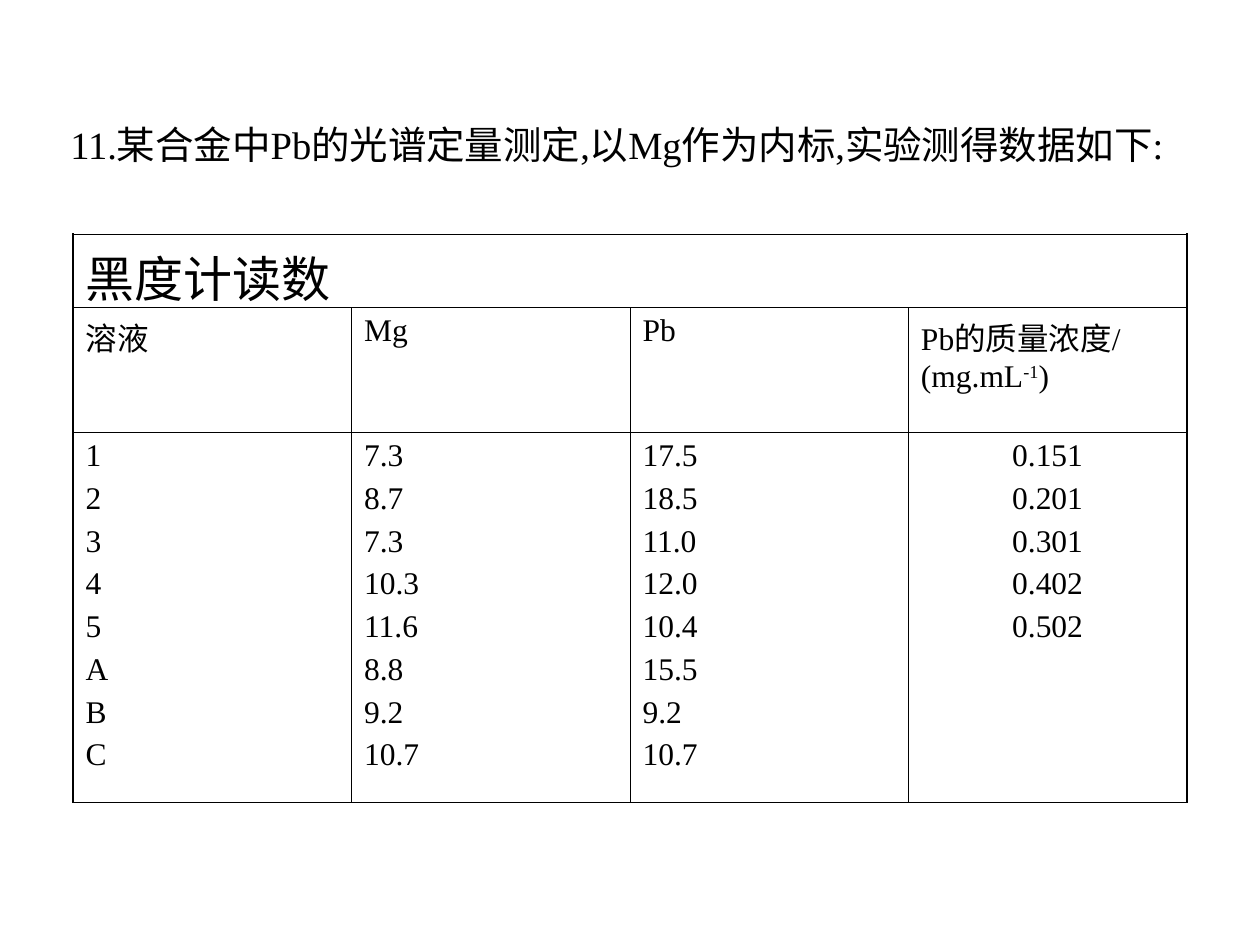
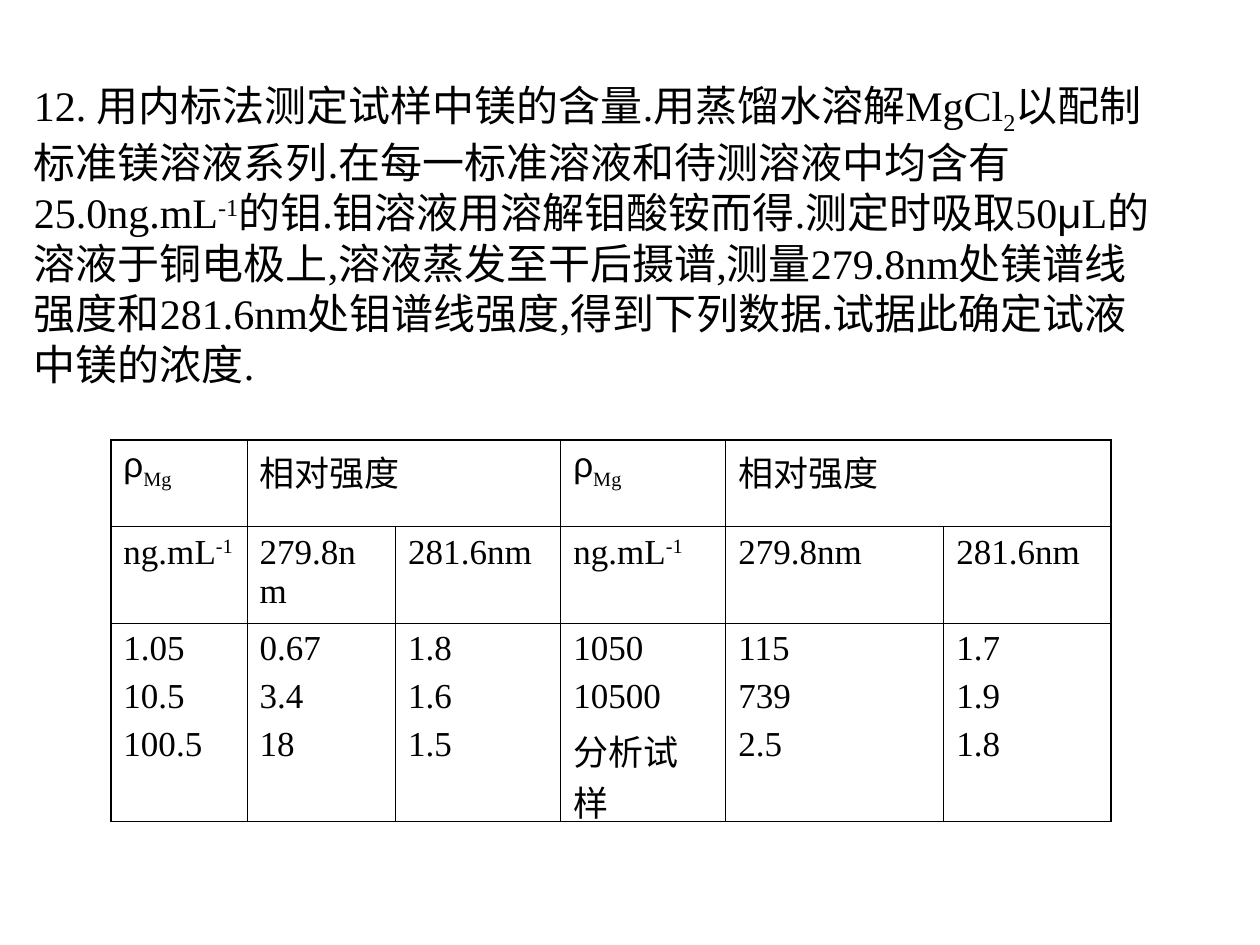
"""Builds two exercise slides, each a question above a ruled data table."""
from dataclasses import dataclass
from typing import Any, NamedTuple

from lxml.etree import SubElement
from pptx import Presentation
from pptx.dml.color import RGBColor
from pptx.enum.text import MSO_AUTO_SIZE as AutoSize, PP_ALIGN as Align
from pptx.oxml.ns import qn
from pptx.util import Pt

EMU_PER_PX = 9144
BLACK = RGBColor(0x00, 0x00, 0x00)
WHITE = RGBColor(0xFF, 0xFF, 0xFF)
SERIF, SANS = "Times New Roman", "Arial"
OUTER, INNER = Pt(1.08), Pt(0.45)
SUB, SUP = -25, 30
MARGINS = {"margin_left": 10, "margin_right": 10, "margin_top": 5, "margin_bottom": 5}


class Run(NamedTuple):
    text: str
    base: int = 0
    font: str = SERIF


class Box(NamedTuple):
    left: int
    top: int
    width: int
    height: int


class Span(NamedTuple):
    row: int
    first: int
    last: int


Content = str | list[Run]


@dataclass
class Question:
    box: Box
    size: int
    content: Content


@dataclass
class DataTable:
    left: int
    top: int
    cols: list[int]
    rows: list[int]
    cells: list[list[Content]]
    spans: list[Span]
    size: int
    gap: float
    title_size: int
    centred: tuple[int, int] | None = None


@dataclass
class Exercise:
    question: Question
    table: DataTable


def px(n: int) -> int:
    return n * EMU_PER_PX


def set_attrs(target: Any, values: dict[str, Any]) -> None:
    for name, value in values.items():
        setattr(target, name, value)


def write(tf: Any, content: Content, size: int, gap: float = 0, align: Align = Align.LEFT) -> None:
    lines = [[Run(t)] for t in content.split("\n")] if isinstance(content, str) else [content]
    for i, line in enumerate(lines):
        p = tf.add_paragraph() if i else tf.paragraphs[0]
        set_attrs(p, {"alignment": align, "space_before": Pt(gap if i else 0)})
        for run in line:
            r = p.add_run()
            r.text = run.text
            set_attrs(r.font, {"name": run.font, "size": Pt(size)})
            r.font.color.rgb = BLACK
            if run.base:
                r._r.get_or_add_rPr().set("baseline", str(run.base * 1000))


def add_question(s: Any, q: Question) -> None:
    tf = s.shapes.add_textbox(*map(px, q.box)).text_frame
    set_attrs(tf, {"word_wrap": True, "auto_size": AutoSize.SHAPE_TO_FIT_TEXT})
    set_attrs(tf, {name: px(n) for name, n in MARGINS.items()})
    write(tf, q.content, q.size)


def rule_cell(cell: Any, edges: dict[str, bool]) -> None:
    tcPr = cell._tc.get_or_add_tcPr()
    for side, is_outer in edges.items():
        ln = SubElement(tcPr, qn(f"a:ln{side}"), w=str(OUTER if is_outer else INNER))
        SubElement(SubElement(ln, qn("a:solidFill")), qn("a:srgbClr"), val=str(BLACK))
    cell.fill.background()


def add_data_table(s: Any, d: DataTable) -> None:
    n_rows, n_cols = len(d.rows), len(d.cols)
    frame = Box(d.left, d.top, sum(d.cols), sum(d.rows))
    table = s.shapes.add_table(n_rows, n_cols, *map(px, frame)).table
    set_attrs(table, {"first_row": False, "horz_banding": False})
    for col, width in zip(table.columns, d.cols):
        col.width = px(width)
    for row, height in zip(table.rows, d.rows):
        row.height = px(height)
    for span in d.spans:
        table.cell(span.row, span.first).merge(table.cell(span.row, span.last))
    for i in range(n_rows):
        contents = iter(d.cells[i])
        for j in range(n_cols):
            cell = table.cell(i, j)
            edges = {"T": i == 0, "B": i == n_rows - 1}
            if not cell.is_spanned:
                width = cell.span_width if cell.is_merge_origin else 1
                edges = {"L": j == 0, "R": j + width == n_cols} | edges
                set_attrs(cell, {name: px(n) for name, n in MARGINS.items()})
                align = Align.CENTER if (i, j) == d.centred else Align.LEFT
                size = d.size if i else d.title_size
                write(cell.text_frame, next(contents), size, d.gap, align)
            rule_cell(cell, edges)


RHO_MG = [Run("ρ", font=SANS), Run("Mg", SUB)]
NG_PER_ML = [Run("ng.mL"), Run("-1", SUP)]
WAVELENGTHS = ["279.8nm", "281.6nm"]

LEAD = Exercise(
    Question(Box(46, 91, 908, 84), 22,
             "11.某合金中Pb的光谱定量测定,以Mg作为内标,实验测得数据如下:"),
    DataTable(
        left=58, top=186, cols=[221] * 4, rows=[58, 99, 294],
        cells=[
            ["黑度计读数"],
            ["溶液", "Mg", "Pb",
             [Run("Pb的质量浓度/(mg.mL"), Run("-1", SUP), Run(")")]],
            ["1\n2\n3\n4\n5\nA\nB\nC",
             "7.3\n8.7\n7.3\n10.3\n11.6\n8.8\n9.2\n10.7",
             "17.5\n18.5\n11.0\n12.0\n10.4\n15.5\n9.2\n10.7",
             "0.151\n0.201\n0.301\n0.402\n0.502"],
        ],
        spans=[Span(0, 0, 3)], size=18, gap=4.5, title_size=28, centred=(2, 3)),
)

MAGNESIUM = Exercise(
    Question(Box(17, 58, 917, 256), 24, [
        Run("12. 用内标法测定试样中镁的含量.用蒸馏水溶解MgCl"), Run("2", SUB),
        Run("以配制标准镁溶液系列.在每一标准溶液和待测溶液中均含有25.0ng.mL"), Run("-1", SUP),
        Run("的钼.钼溶液用溶解钼酸铵而得.测定时吸取50"), Run("μ", font=SANS),
        Run("L的溶液于铜电极上,溶液蒸发至干后摄谱,测量279.8nm处镁谱线强度和"
            "281.6nm处钼谱线强度,得到下列数据.试据此确定试液中镁的浓度."),
    ]),
    DataTable(
        left=88, top=349, cols=[108, 118, 131, 131, 173, 133], rows=[69, 58, 148],
        cells=[
            [RHO_MG, "相对强度"] * 2,
            [NG_PER_ML, *WAVELENGTHS] * 2,
            ["1.05\n10.5\n100.5", "0.67\n3.4\n18", "1.8\n1.6\n1.5",
             "1050\n10500\n分析试样", "115\n739\n2.5", "1.7\n1.9\n1.8"],
        ],
        spans=[Span(0, 1, 2), Span(0, 4, 5)], size=20, gap=5, title_size=20),
)


def main() -> None:
    prs = Presentation()
    set_attrs(prs, {"slide_width": px(1000), "slide_height": px(750)})
    for exercise in (LEAD, MAGNESIUM):
        s = prs.slides.add_slide(prs.slide_layouts[6])
        s.background.fill.solid()
        s.background.fill.fore_color.rgb = WHITE
        add_question(s, exercise.question)
        add_data_table(s, exercise.table)
    prs.save("out.pptx")


if __name__ == "__main__":
    main()
